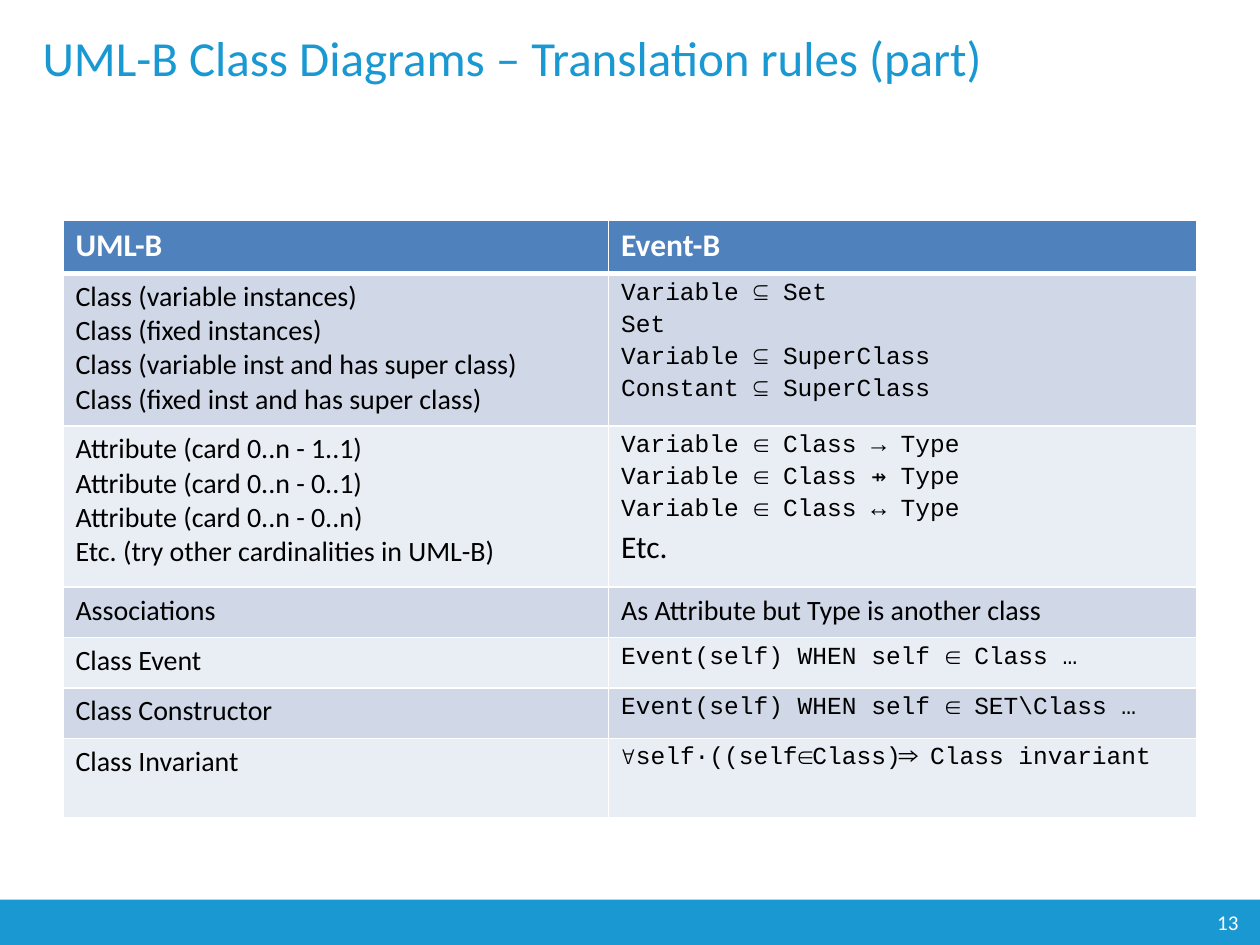
from lxml import etree
from pptx import Presentation
from pptx import util as u
from pptx.dml.color import RGBColor
from pptx.enum import shapes, text
from pptx.oxml.ns import qn

COLORS = {
    "accent": "1998D2",
    "header": "4F81BD",
    "band_dark": "D0D8E8",
    "band_light": "E9EDF4",
    "white": "FFFFFF",
    "black": "000000",
}
BODY, CODE = ("Calibri", 16), ("Courier New", 14)
LARGE = ("Calibri", 18)
COLUMN_WIDTHS = [4.33, 4.67]
ROW_HEIGHTS = [0.42, 1.21, 1.28, 0.4, 0.4, 0.4, 0.63]
HEADINGS = ["UML-B", "Event-B"]
RULES = [
    (
        [
            "Class (variable instances)",
            "Class (fixed instances)",
            "Class (variable inst and has super class)",
            "Class (fixed inst and has super class)",
        ],
        [
            ("Variable ⊆ Set", CODE),
            ("Set", CODE),
            ("Variable ⊆ SuperClass", CODE),
            ("Constant ⊆ SuperClass", CODE),
        ],
    ),
    (
        [
            "Attribute (card 0..n - 1..1)",
            "Attribute (card 0..n - 0..1)",
            "Attribute (card 0..n - 0..n)",
            "Etc. (try other cardinalities in UML-B)",
        ],
        [
            ("Variable ∈ Class → Type", CODE),
            ("Variable ∈ Class ⇸ Type", CODE),
            ("Variable ∈ Class ↔ Type", CODE),
            ("Etc.", LARGE),
        ],
    ),
    (["Associations"], [("As Attribute but Type is another class", BODY)]),
    (["Class Event"], [("Event(self) WHEN self ∈ Class …", CODE)]),
    (["Class Constructor"], [("Event(self) WHEN self ∈ SET\\Class …", CODE)]),
    (["Class Invariant"], [("∀self·((self∈Class)⇒ Class invariant", CODE)]),
]


def rgb(name):
    return RGBColor.from_string(COLORS[name])


def add_run(p, content, font, color, bold=False):
    r = p.add_run()
    r.text = content
    r.font.name, size = font
    r.font.size = u.Pt(size)
    r.font.bold = bold
    r.font.color.rgb = rgb(color)


def add_title(s, content):
    sp = s.shapes.add_textbox(u.Inches(0.24), 0, u.Inches(8.76), u.Inches(0.9))
    tf = sp.text_frame
    tf.word_wrap = True
    tf.vertical_anchor = text.MSO_ANCHOR.MIDDLE
    add_run(tf.paragraphs[0], content, ("Calibri", 28), "accent")


def add_footer(s, number):
    sp = s.shapes.add_shape(
        shapes.MSO_SHAPE.RECTANGLE, 0, u.Inches(7.14), u.Inches(10), u.Inches(0.36)
    )
    sp.shadow.inherit = False
    sp.fill.solid()
    sp.fill.fore_color.rgb = rgb("accent")
    sp.line.fill.background()
    tf = sp.text_frame
    tf.margin_right = u.Inches(0.17)
    tf.vertical_anchor = text.MSO_ANCHOR.MIDDLE
    p = tf.paragraphs[0]
    p.alignment = text.PP_ALIGN.RIGHT
    add_run(p, number, ("Calibri", 12), "white")


def style_cell(cell, fill, top=1, bottom=1):
    tc_pr = cell._tc.get_or_add_tcPr()
    for side, width in (("L", 1), ("R", 1), ("T", top), ("B", bottom)):
        ln = etree.SubElement(tc_pr, qn(f"a:ln{side}"), w=str(u.Pt(width)))
        solid = etree.SubElement(ln, qn("a:solidFill"))
        etree.SubElement(solid, qn("a:srgbClr"), val=COLORS["white"])
    cell.fill.solid()
    cell.fill.fore_color.rgb = rgb(fill)


def fill_cell(cell, lines, color="black", bold=False, spaced=False):
    tf = cell.text_frame
    for i, (content, font) in enumerate(lines):
        p = tf.add_paragraph() if i else tf.paragraphs[0]
        if spaced:
            p.space_before, p.space_after = u.Pt(1), u.Pt(1.5)
        add_run(p, content, font, color, bold)


def add_rules_table(s):
    table = s.shapes.add_table(
        len(ROW_HEIGHTS), len(COLUMN_WIDTHS),
        u.Inches(0.5), u.Inches(1.75), u.Inches(9), u.Inches(4.75),
    ).table
    for column, width in zip(table.columns, COLUMN_WIDTHS):
        column.width = u.Inches(width)
    for row, height in zip(table.rows, ROW_HEIGHTS):
        row.height = u.Inches(height)
    for col, heading in enumerate(HEADINGS):
        cell = table.cell(0, col)
        style_cell(cell, "header", bottom=3)
        fill_cell(cell, [(heading, LARGE)], "white", bold=True)
    for row, (uml, event) in enumerate(RULES, 1):
        band = "band_dark" if row % 2 else "band_light"
        for col, lines in enumerate(([(line, BODY) for line in uml], event)):
            cell = table.cell(row, col)
            style_cell(cell, band, top=3 if row == 1 else 1)
            fill_cell(cell, lines, spaced=col == 1)


def main():
    prs = Presentation()
    prs.slide_width, prs.slide_height = u.Inches(10), u.Inches(7.5)
    s = prs.slides.add_slide(prs.slide_layouts[6])
    add_footer(s, "13")
    add_title(s, "UML-B Class Diagrams – Translation rules (part)")
    add_rules_table(s)
    prs.save("out.pptx")


if __name__ == "__main__":
    main()
